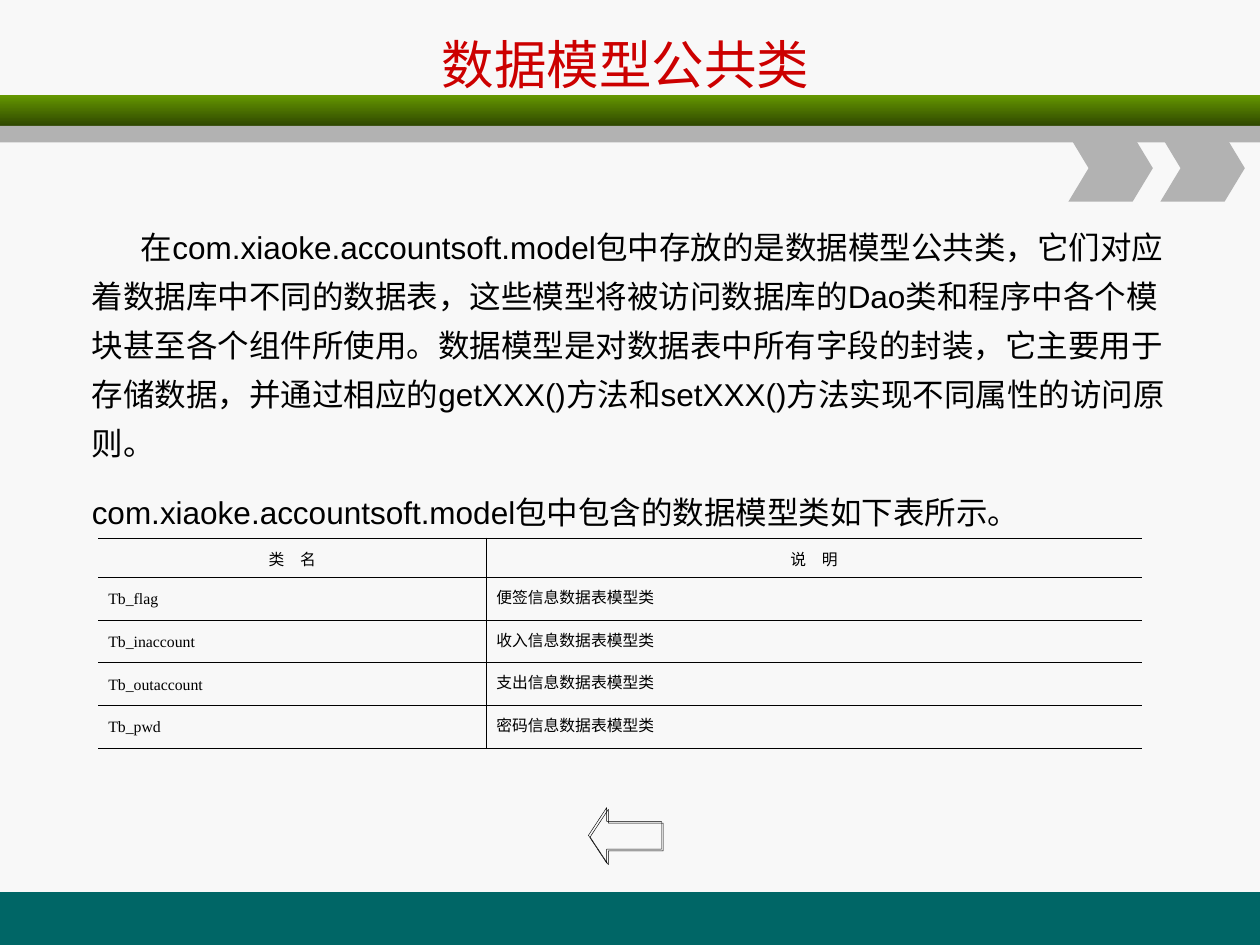
from dataclasses import dataclass

from lxml.etree import SubElement
from pptx import Presentation
from pptx.dml.color import RGBColor
from pptx.enum.shapes import MSO_SHAPE
from pptx.enum.text import MSO_ANCHOR, PP_ALIGN
from pptx.oxml.ns import qn
from pptx.util import Inches, Pt

HEX = {
    "page": "F8F8F8", "teal": "006666", "green": "669900", "dark": "2F4700",
    "gray": "B2B2B2", "red": "CC0000", "black": "000000",
}


@dataclass
class Box:
    left: float
    top: float
    width: float
    height: float

    def emu(self) -> list:
        return [Inches(n) for n in (self.left, self.top, self.width, self.height)]


def tint(name: str) -> RGBColor:
    return RGBColor.from_string(HEX[name])


def add_run(para, text: str, size: float, face: str, color: str = "black") -> None:
    run = para.add_run()
    run.text = text
    run.font.size = Pt(size)
    run.font.name = face
    run.font.color.rgb = tint(color)


def paint(shape, color: str) -> None:
    shape.shadow.inherit = False
    shape.fill.solid()
    shape.fill.fore_color.rgb = tint(color)
    shape.line.fill.background()


def add_bar(slide, box: Box, color: str):
    bar = slide.shapes.add_shape(MSO_SHAPE.RECTANGLE, *box.emu())
    paint(bar, color)
    return bar


def add_chevron(slide, box: Box, notch: float) -> None:
    right, low = box.left + box.width, box.top + box.height
    mid = box.top + box.height / 2
    pts = [(right - notch, box.top), (right, mid), (right - notch, low),
           (box.left, low), (box.left + notch, mid)]
    path = slide.shapes.build_freeform(Inches(box.left), Inches(box.top))
    path.add_line_segments([(Inches(x), Inches(y)) for x, y in pts], close=True)
    paint(path.convert_to_shape(), "gray")


def set_edge(cell, side: str, drawn: bool) -> None:
    props = cell._tc.get_or_add_tcPr()
    edge = SubElement(props, qn(f"a:ln{side}"), w=str(Pt(0.45)))
    if drawn:
        fill = SubElement(edge, qn("a:solidFill"))
        SubElement(fill, qn("a:srgbClr"), val=HEX["black"])
    else:
        SubElement(edge, qn("a:noFill"))


def add_grid(slide, box: Box, cols: list, rows: list, data: list) -> None:
    grid = slide.shapes.add_table(len(rows), len(cols), *box.emu()).table
    grid.first_row = grid.horz_banding = False
    for col, width in zip(grid.columns, cols):
        col.width = Inches(width)
    for r, (height, line) in enumerate(zip(rows, data)):
        grid.rows[r].height = Inches(height)
        head = r == 0
        for c, text in enumerate(line):
            cell = grid.cell(r, c)
            cell.margin_left = cell.margin_right = Inches(0.08)
            cell.vertical_anchor = MSO_ANCHOR.MIDDLE if head else MSO_ANCHOR.TOP
            # Rules run across, with one upright between the columns
            for side, drawn in (("L", c > 0), ("R", c < len(cols) - 1),
                                ("T", True), ("B", True)):
                set_edge(cell, side, drawn)
            cell.fill.background()
            para = cell.text_frame.paragraphs[0]
            para.alignment = PP_ALIGN.CENTER if head else PP_ALIGN.JUSTIFY
            para.line_spacing = Pt(14)
            add_run(para, text, 9, "Arial" if head else "Times New Roman")


deck = Presentation()
deck.slide_width, deck.slide_height = Inches(10), Inches(7.5)
slide = deck.slides.add_slide(deck.slide_layouts[5])
slide.background.fill.solid()
slide.background.fill.fore_color.rgb = tint("page")

# Footer and header bands
add_bar(slide, Box(0, 7.08, 10, 0.42), "teal")
band = add_bar(slide, Box(0, 0.75, 10, 0.25), "green")
band.fill.gradient()
band.fill.gradient_angle = 270
for stop, name, pos in zip(band.fill.gradient_stops, ("green", "dark"), (0, 1)):
    stop.color.rgb = tint(name)
    stop.position = pos
add_bar(slide, Box(0, 1, 10, 0.13), "gray")
for left in (8.48, 9.21):
    add_chevron(slide, Box(left, 1.07, 0.67, 0.53), 0.16)

# Title
title = slide.shapes.title
title.left, title.top, title.width, title.height = Box(1.41, 0.17, 7.11, 0.67).emu()
title.text_frame.vertical_anchor = MSO_ANCHOR.MIDDLE
para = title.text_frame.paragraphs[0]
para.alignment = PP_ALIGN.CENTER
add_run(para, "数据模型公共类", 30, "DejaVu Sans", "red")

# Body text
BODY = [
    "在com.xiaoke.accountsoft.model包中存放的是数据模型公共类，它们对应着数据库中不同的数据表，"
    "这些模型将被访问数据库的Dao类和程序中各个模块甚至各个组件所使用。"
    "数据模型是对数据表中所有字段的封装，它主要用于存储数据，"
    "并通过相应的getXXX()方法和setXXX()方法实现不同属性的访问原则。",
    "com.xiaoke.accountsoft.model包中包含的数据模型类如下表所示。",
]
frame = slide.shapes.add_textbox(*Box(0.63, 1.67, 8.75, 2.6).emu()).text_frame
frame.word_wrap = True
for i, text in enumerate(BODY):
    para = frame.add_paragraph() if i else frame.paragraphs[0]
    para.line_spacing = 1.3
    if i:
        para.space_before = Pt(11.2)
    else:
        para._p.get_or_add_pPr().set("indent", str(Inches(0.39)))
    add_run(para, text, 18, "Arial")

# Table of model classes
ROWS = [
    ("类　名", "说　明"),
    ("Tb_flag", "便签信息数据表模型类"),
    ("Tb_inaccount", "收入信息数据表模型类"),
    ("Tb_outaccount", "支出信息数据表模型类"),
    ("Tb_pwd", "密码信息数据表模型类"),
]
add_grid(slide, Box(0.78, 4.27, 8.28, 1.66), [3.08, 5.2], [0.31] + [0.34] * 4, ROWS)

# Back arrow with a hard shadow
arrow = slide.shapes.add_shape(MSO_SHAPE.LEFT_ARROW, *Box(4.67, 6.41, 0.58, 0.44).emu())
arrow.adjustments[0], arrow.adjustments[1] = 0.5, 0.33
arrow.fill.background()
arrow.line.color.rgb = tint("black")
arrow.line.width = Pt(0.25)
arrow.shadow.inherit = False
glow = SubElement(arrow._element.spPr.find(qn("a:effectLst")), qn("a:outerShdw"),
                  dist=str(Pt(1.4)), dir=str(45 * 60000), algn="ctr", rotWithShape="0")
SubElement(glow, qn("a:srgbClr"), val=HEX["black"])

deck.save("out.pptx")
